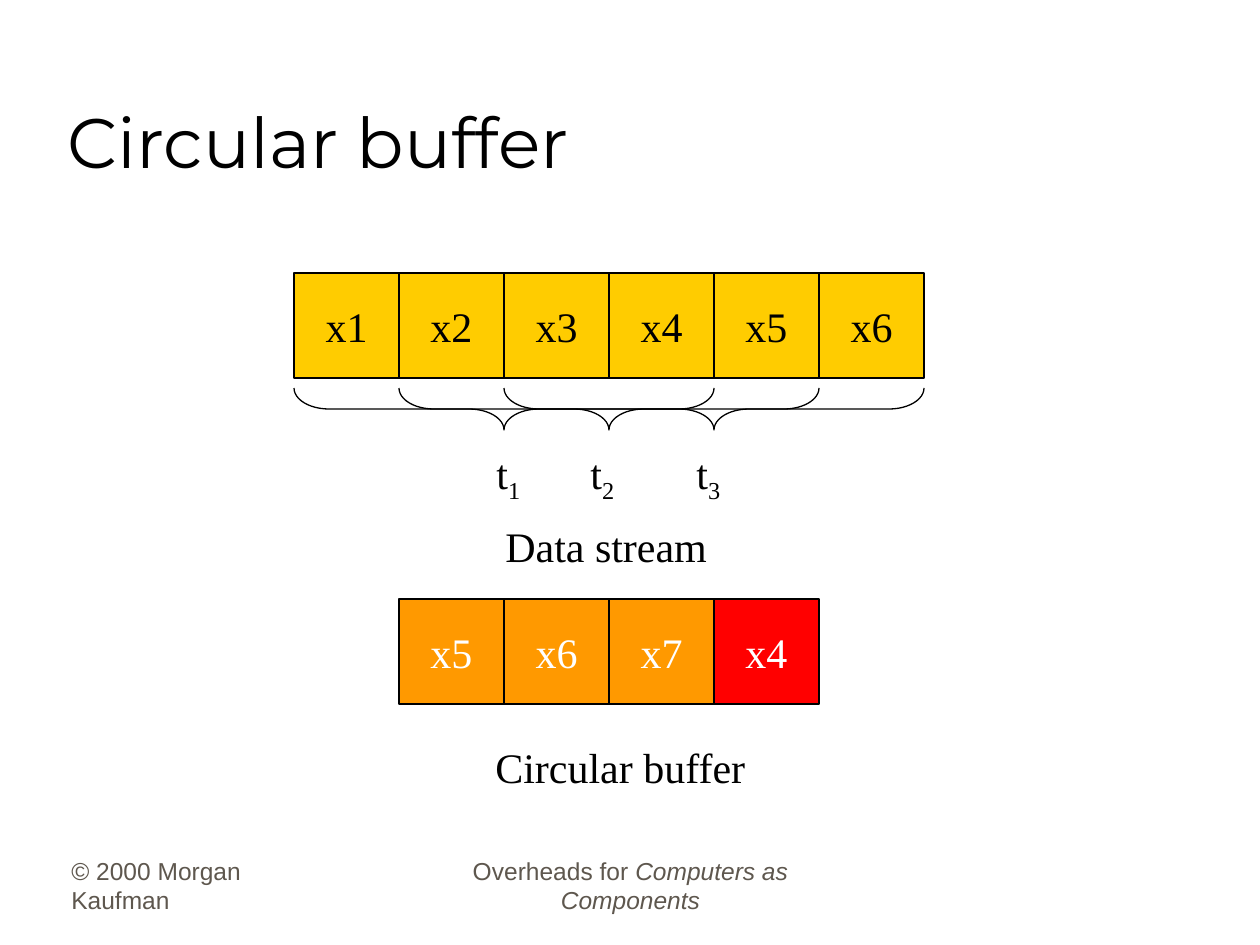
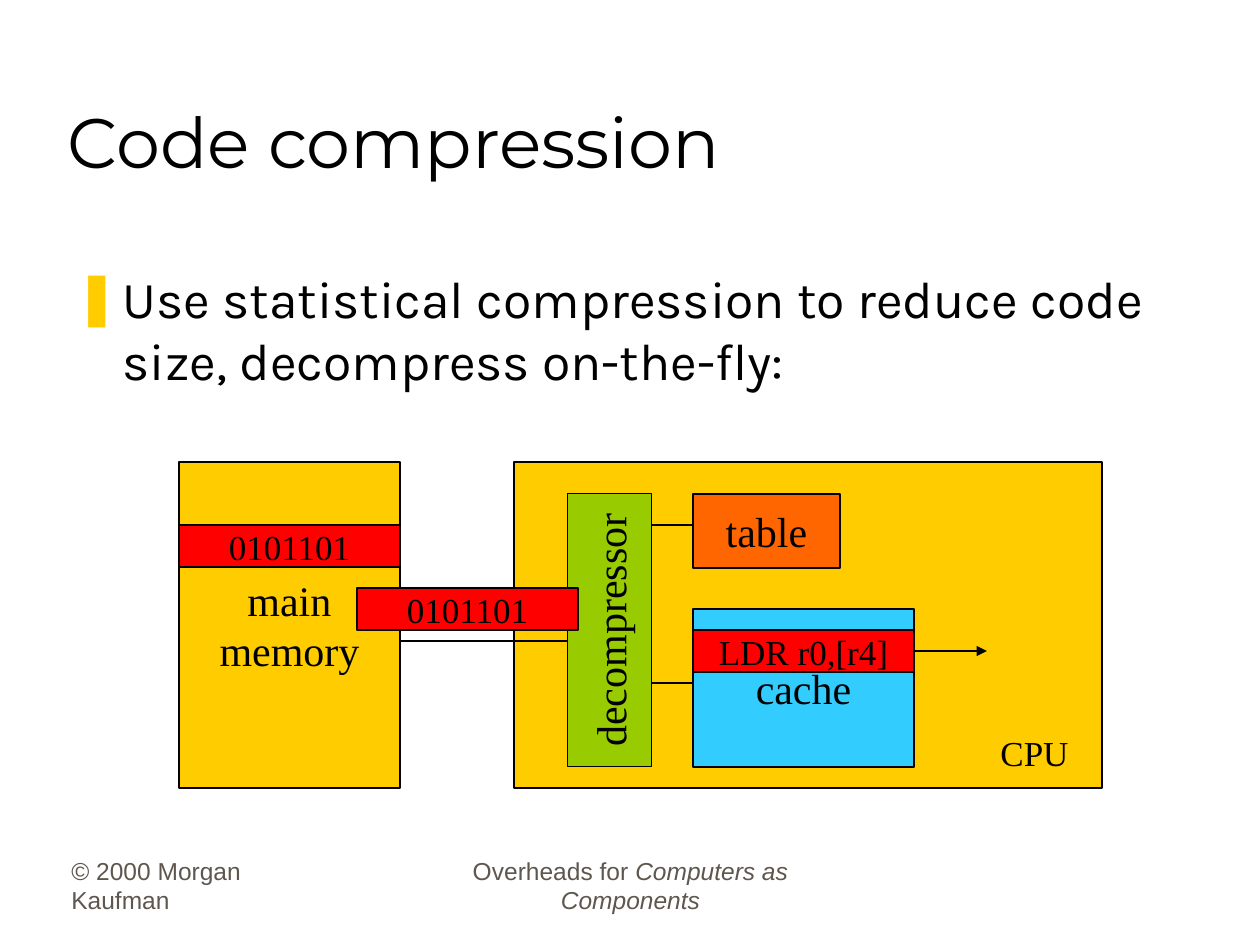
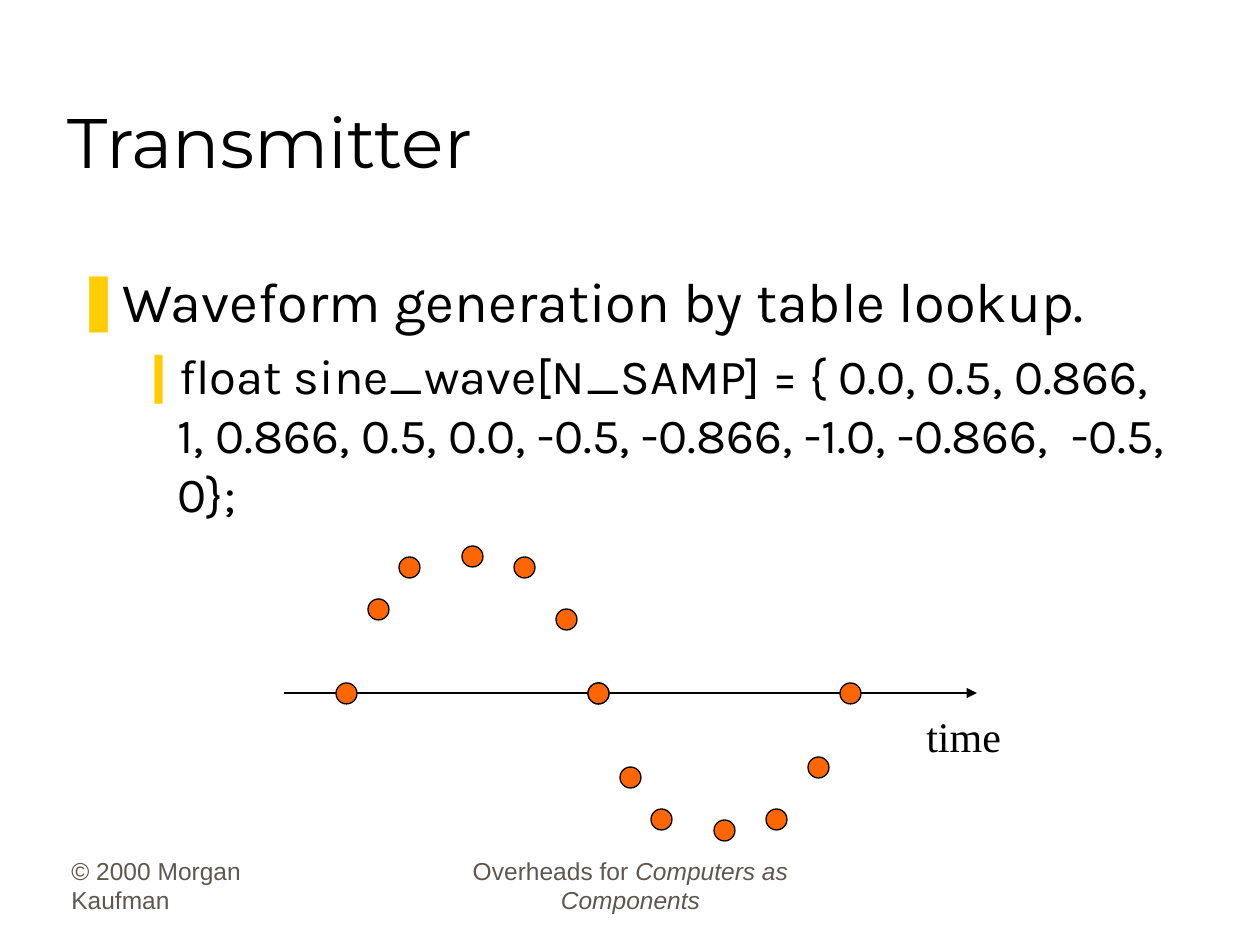
from lxml.etree import SubElement
from pptx import Presentation
from pptx.dml.color import RGBColor
from pptx.enum.shapes import MSO_CONNECTOR, MSO_SHAPE
from pptx.enum.text import MSO_ANCHOR, MSO_AUTO_SIZE, PP_ALIGN
from pptx.oxml.ns import qn
from pptx.util import Emu, Pt

BLACK = RGBColor(0x00, 0x00, 0x00)
WHITE = RGBColor(0xFF, 0xFF, 0xFF)
GREY = RGBColor(0x5E, 0x57, 0x4E)
YELLOW = RGBColor(0xFF, 0xCC, 0x00)
AMBER = RGBColor(0xFF, 0x99, 0x00)
ORANGE = RGBColor(0xFF, 0x66, 0x00)
RED = RGBColor(0xFF, 0x00, 0x00)
GREEN = RGBColor(0x99, 0xCC, 0x00)
BLUE = RGBColor(0x33, 0xCC, 0xFF)

TITLE_FONT, BODY_FONT = "Montserrat", "Karla"
LABEL_FONT, FOOTER_FONT = "Times New Roman", "Arial"
TITLE_ONLY, TITLE_AND_BODY = 5, 1
LINE_WIDTH = Pt(0.75)
CELL = 105
DOT = 21

# Bullet, left margin px, hanging indent px and space before for each level
LEVELS = [("❚", 47, 47, 8), ("❙", 102, 39, 7)]


def px(n):
    return Emu(round(n * 914400 / 126))


def place(sp, x, y, w, h):
    sp.left, sp.top, sp.width, sp.height = px(x), px(y), px(w), px(h)


def write(p, *parts, size=24, font=LABEL_FONT, color=BLACK, align=PP_ALIGN.LEFT):
    """Add runs to a paragraph; a part is text or (text, "italic" or "sub")."""
    p.alignment = align
    for part in parts:
        text, style = (part, None) if isinstance(part, str) else part
        r = p.add_run()
        r.text = text
        r.font.size, r.font.name = Pt(size), font
        r.font.color.rgb = color
        if style == "italic":
            r.font.italic = True
        elif style == "sub":
            r._r.get_or_add_rPr().set("baseline", "-25000")


def add_label(slide, x, y, w, h, *parts, wrap=False, anchor=MSO_ANCHOR.TOP, **fmt):
    tf = slide.shapes.add_textbox(px(x), px(y), px(w), px(h)).text_frame
    tf.word_wrap = wrap
    tf.vertical_anchor = anchor
    write(tf.paragraphs[0], *parts, **fmt)


def add_shape(slide, kind, x, y, w, h, fill=None):
    sp = slide.shapes.add_shape(kind, px(x), px(y), px(w), px(h))
    sp.shadow.inherit = False
    if fill is None:
        sp.fill.background()
    else:
        sp.fill.solid()
        sp.fill.fore_color.rgb = fill
    sp.line.color.rgb = BLACK
    sp.line.width = LINE_WIDTH
    return sp


def add_box(slide, x, y, w, h, fill, *lines, **fmt):
    sp = add_shape(slide, MSO_SHAPE.RECTANGLE, x, y, w, h, fill)
    tf = sp.text_frame
    tf.word_wrap = False
    tf.vertical_anchor = MSO_ANCHOR.MIDDLE
    for i, line in enumerate(lines):
        p = tf.add_paragraph() if i else tf.paragraphs[0]
        write(p, line, align=PP_ALIGN.CENTER, **fmt)
    return sp


def add_line(slide, x1, y1, x2, y2, arrow=False):
    c = slide.shapes.add_connector(MSO_CONNECTOR.STRAIGHT, px(x1), px(y1), px(x2), px(y2))
    c.line.color.rgb = BLACK
    c.line.width = LINE_WIDTH
    if arrow:
        SubElement(c.line._get_or_add_ln(), qn("a:tailEnd"), type="triangle")
    SubElement(c._element.spPr, qn("a:effectLst"))


def add_brace(slide, x, y, w, h):
    """Horizontal brace with its tip pointing down."""
    sp = add_shape(slide, MSO_SHAPE.LEFT_BRACE, x + (w - h) / 2, y + (h - w) / 2, h, w)
    sp.rotation = 270
    sp.adjustments[0] = 0.83


def add_slide(prs, title, layout=TITLE_ONLY):
    slide = prs.slides.add_slide(prs.slide_layouts[layout])
    add_label(slide, 59, 858, 262, 63, "© 2000 Morgan Kaufman", wrap=True,
              anchor=MSO_ANCHOR.BOTTOM, size=14, font=FOOTER_FONT, color=GREY)
    add_label(slide, 431, 858, 399, 63, "Overheads for ", ("Computers as Components", "italic"),
              wrap=True, anchor=MSO_ANCHOR.BOTTOM, size=14, font=FOOTER_FONT,
              color=GREY, align=PP_ALIGN.CENTER)
    sp = slide.shapes.title
    place(sp, 55, 32, 1071, 157)
    tf = sp.text_frame
    tf.auto_size = MSO_AUTO_SIZE.NONE
    tf.vertical_anchor = MSO_ANCHOR.BOTTOM
    write(tf.paragraphs[0], title, size=40, font=TITLE_FONT)
    return slide


def fill_body(slide, h, *items):
    """Fill the body placeholder with (level, size, text) items."""
    sp = slide.placeholders[1]
    place(sp, 63, 260, 1126, h)
    tf = sp.text_frame
    tf.auto_size = MSO_AUTO_SIZE.NONE
    for i, (level, size, text) in enumerate(items):
        p = tf.add_paragraph() if i else tf.paragraphs[0]
        char, margin, hang, before = LEVELS[level]
        p.level = level
        p.space_before = Pt(before if i else 0)
        pPr = p._p.get_or_add_pPr()
        pPr.set("marL", str(px(margin)))
        pPr.set("indent", str(px(-hang)))
        clr = SubElement(pPr, qn("a:buClr"))
        SubElement(clr, qn("a:srgbClr"), val=str(YELLOW))
        SubElement(pPr, qn("a:buChar"), char=char)
        write(p, text, size=size, font=BODY_FONT)


def add_cells(slide, x, y, cells, color):
    for i, (text, fill) in enumerate(cells):
        add_box(slide, x + i * CELL, y, CELL, CELL, fill, text, color=color)


def add_half_wave(slide, x, y, sign):
    """Seven samples of half a sine period, above (1) or below (-1) the axis."""
    samples = [(0, 0), (32, 84), (63, 126), (126, 137), (178, 126), (220, 74), (252, 0)]
    for dx, height in samples:
        add_shape(slide, MSO_SHAPE.OVAL, x + dx, y - sign * height, DOT, DOT, ORANGE)


def build_circular_buffer(prs):
    slide = add_slide(prs, "Circular buffer")
    stream_x = 294
    add_cells(slide, stream_x, 273, [(f"x{n}", YELLOW) for n in range(1, 7)], BLACK)
    for i, label_x in enumerate((484, 578, 684)):
        add_brace(slide, stream_x + i * CELL, 388, 4 * CELL, 42)
        add_label(slide, label_x, 441, 49, 70, "t", (str(i + 1), "sub"))
    add_label(slide, 493, 514, 227, 63, "Data stream")
    buffer = [("x5", AMBER), ("x6", AMBER), ("x7", AMBER), ("x4", RED)]
    add_cells(slide, stream_x + CELL, 599, buffer, WHITE)
    add_label(slide, 483, 735, 276, 63, "Circular buffer")


def build_code_compression(prs):
    slide = add_slide(prs, "Code compression", TITLE_AND_BODY)
    fill_body(slide, 139, (0, 29.6, "Use statistical compression to reduce code size, "
                                    "decompress on-the-fly:"))
    add_box(slide, 514, 462, 588, 326, YELLOW)
    add_label(slide, 988, 725, 93, 55, "CPU", size=20)
    add_box(slide, 473, 588, 273, 84, GREEN, "decompressor").rotation = 270
    add_box(slide, 693, 494, 147, 74, ORANGE, "table")
    add_box(slide, 693, 609, 221, 158, BLUE, "cache")
    add_box(slide, 179, 462, 221, 326, YELLOW, "main", "memory")
    add_line(slide, 399, 641, 567, 641)
    add_line(slide, 651, 683, 693, 683)
    add_line(slide, 693, 525, 651, 525)
    add_line(slide, 903, 651, 987, 651, arrow=True)
    for x, y, code in ((179, 525, "0101101"), (357, 588, "0101101"), (693, 630, "LDR r0,[r4]")):
        add_box(slide, x, y, 221, 42, RED, code, size=20)


def build_transmitter(prs):
    slide = add_slide(prs, "Transmitter", TITLE_AND_BODY)
    fill_body(slide, 276,
              (0, 32, "Waveform generation by table lookup."),
              (1, 28, "float sine_wave[N_SAMP] = { 0.0, 0.5, 0.866, 1, 0.866, 0.5, 0.0, "
                      "-0.5, -0.866, -1.0, -0.866,  -0.5, 0};"))
    add_line(slide, 284, 693, 977, 693, arrow=True)
    add_label(slide, 914, 704, 100, 63, "time")
    add_half_wave(slide, 336, 683, 1)
    add_half_wave(slide, 588, 683, -1)


def main():
    prs = Presentation()
    prs.slide_width, prs.slide_height = px(1260), px(945)
    build_circular_buffer(prs)
    build_code_compression(prs)
    build_transmitter(prs)
    prs.save("out.pptx")


if __name__ == "__main__":
    main()
